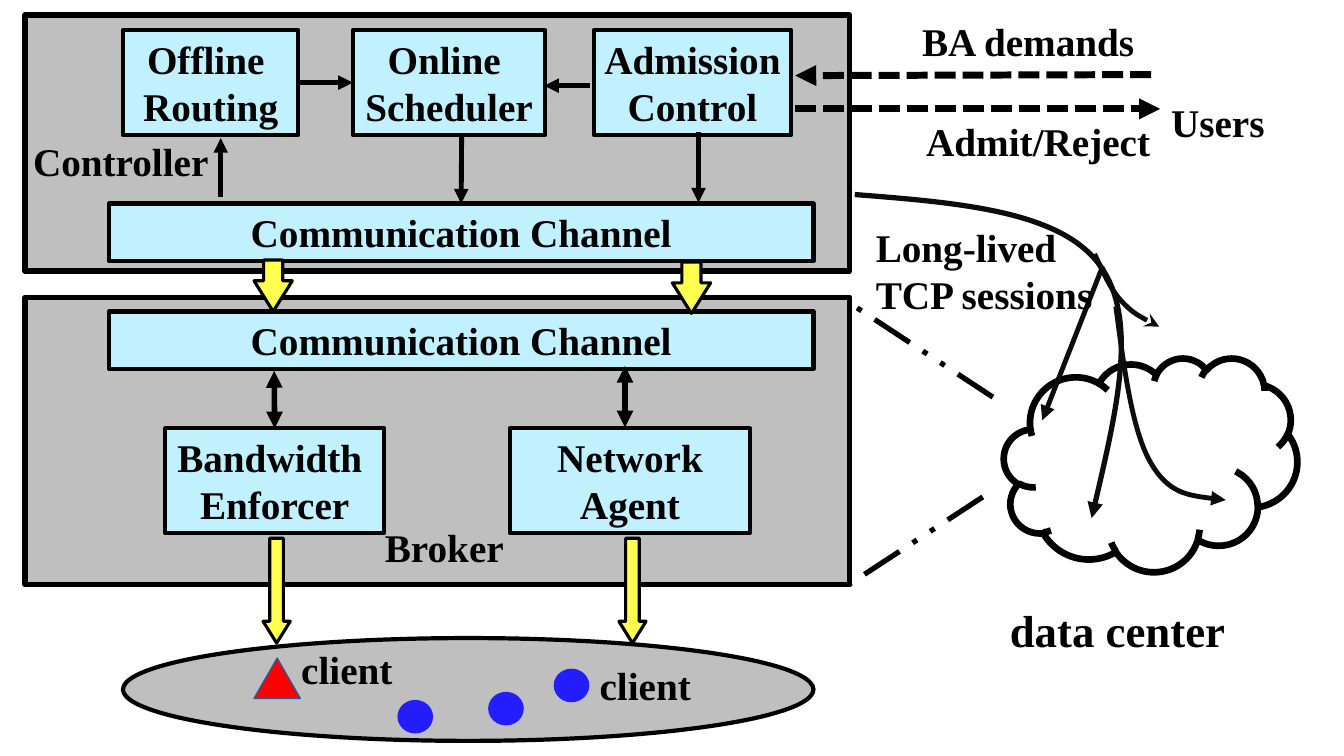
import pptx
import pptx.util
import pptx.dml.color
import pptx.enum.dml
import pptx.enum.shapes
import pptx.enum.text
import pptx.oxml
import pptx.oxml.ns

Inches = pptx.util.Inches
Pt = pptx.util.Pt
KIND = pptx.enum.shapes.MSO_SHAPE
DASH = pptx.enum.dml.MSO_LINE
ALIGN = pptx.enum.text.PP_ALIGN
COLORS = {
    "black": "000000",
    "ink": "0D0D0D",
    "gray": "BFBFBF",
    "sky": "C1F0FF",
    "yellow": "FEFF4F",
    "red": "FF0000",
    "navy": "325491",
    "blue": "241EFF",
}


def rgb(name):
    return pptx.dml.color.RGBColor.from_string(COLORS[name])


def make(tag, **values):
    node = pptx.oxml.parse_xml(f'<a:{tag} {pptx.oxml.ns.nsdecls("a")}/>')
    for key, value in values.items():
        node.set(key, value)
    return node


def stroke(item, color, width):
    item.line.color.rgb = rgb(color)
    item.line.width = Pt(width)


def add_tip(item, end, style):
    item.get_or_add_ln().append(make(end, type=style))


def write(frame, text, size=28, align=ALIGN.LEFT, wrap=True):
    frame.word_wrap = wrap
    frame.auto_size = pptx.enum.text.MSO_AUTO_SIZE.SHAPE_TO_FIT_TEXT
    frame.vertical_anchor = pptx.enum.text.MSO_ANCHOR.TOP
    frame.text = text
    for para in frame.paragraphs:
        para.alignment = align
        para.font.name = "Times New Roman"
        para.font.size = Pt(size)
        para.font.bold = True
        para.font.color.rgb = rgb("black")


def add_shape(slide, kind, place, fill=None, line="black", width=3):
    shape = slide.shapes.add_shape(kind, *map(Inches, place))
    shape.shadow.inherit = False
    if fill:
        shape.fill.solid()
        shape.fill.fore_color.rgb = rgb(fill)
    else:
        shape.fill.background()
    stroke(shape, line, width)
    return shape


def add_box(slide, text, *place):
    box = add_shape(slide, KIND.RECTANGLE, place, "sky")
    write(box.text_frame, text, align=ALIGN.CENTER)
    return box


def add_label(slide, text, *place, size=28, wrap=False):
    label = slide.shapes.add_textbox(*map(Inches, place))
    write(label.text_frame, text, size=size, wrap=wrap)


def add_line(slide, start, end, width=3.5, dash=None, head=False, tail=True):
    kind = pptx.enum.shapes.MSO_CONNECTOR.STRAIGHT
    line = slide.shapes.add_connector(kind, *map(Inches, start + end))
    stroke(line, "black", width)
    if dash:
        line.line.dash_style = dash
    if head:
        add_tip(line, "headEnd", "triangle")
    if tail:
        add_tip(line, "tailEnd", "triangle")
    line._element.spPr.append(make("effectLst"))
    return line


def smooth(route):
    lines = route.findall(pptx.oxml.ns.qn("a:lnTo"))
    for i in range(0, len(lines), 3):
        curve = make("cubicBezTo")
        lines[i].addprevious(curve)
        for line in lines[i:i + 3]:
            curve.append(line[0])
            route.remove(line)


def add_curve(slide, knots, tip="triangle", width=3.5, span=None):
    spots = [(Inches(x), Inches(y)) for x, y in knots]
    pen = slide.shapes.build_freeform(*spots[0])
    pen.add_line_segments(spots[1:], close=False)
    curve = pen.convert_to_shape()
    route = next(curve._element.iter(pptx.oxml.ns.qn("a:path")))
    if len(knots) > 2:
        smooth(route)
    if span:
        curve.width = Inches(span)
        route.set("w", str(Inches(span)))
    curve.shadow.inherit = False
    curve.fill.background()
    stroke(curve, "ink", width)
    add_tip(curve, "tailEnd", tip)


def add_flow(slide, *place):
    flow = add_shape(slide, KIND.DOWN_ARROW, place, "yellow", width=2.25)
    flow.adjustments[0] = 0.5
    flow.adjustments[1] = 0.8


def draw_broker(slide):
    add_shape(slide, KIND.RECTANGLE, (0.25, 2.95, 8.18, 2.85), "gray", width=4)
    band = add_box(slide, "Bandwidth \nEnforcer", 1.64, 4.25, 2.17, 1.04)
    add_box(slide, "Communication Channel", 1.08, 3.09, 6.99, 0.57)
    add_box(slide, "Network\nAgent", 5.06, 4.25, 2.38, 1.04)
    link = add_line(slide, (2.72, 3.68), (2.72, 4.25), width=4, head=True)
    link.end_connect(band, 0)
    add_line(slide, (6.2, 3.63), (6.2, 4.24), width=4, head=True)
    add_label(slide, "Broker", 3.72, 5.14, 1.39, 0.57)


def draw_control(slide):
    add_shape(slide, KIND.RECTANGLE, (0.25, 0.15, 8.18, 2.54), "gray", width=4)
    offline = add_box(slide, "Offline \nRouting", 1.22, 0.3, 1.74, 1.04)
    online = add_box(slide, "Online \nScheduler", 3.5, 0.3, 1.91, 1.04)
    add_box(slide, "Admission Control", 5.89, 0.3, 1.96, 1.04)
    channel = add_box(slide, "Communication Channel", 1.08, 2.02, 6.99, 0.57)
    add_label(slide, "Controller", 0.23, 1.31, 1.96, 0.57)
    add_line(slide, (2.19, 1.95), (2.19, 1.37))
    link = add_line(slide, (2.96, 0.82), (3.5, 0.82))
    link.begin_connect(offline, 3)
    link.end_connect(online, 1)
    add_line(slide, (4.58, 1.32), (4.58, 2.02)).end_connect(channel, 0)
    add_line(slide, (5.85, 0.85), (5.4, 0.85))
    add_line(slide, (6.93, 1.31), (6.93, 2.01))


def draw_users(slide):
    add_line(slide, (11.42, 0.74), (7.89, 0.75), width=5, dash=DASH.SQUARE_DOT)
    add_line(slide, (7.89, 1.08), (11.51, 1.08), width=5, dash=DASH.SQUARE_DOT)
    add_label(slide, "BA demands", 9.05, 0.12, 2.37, 0.57, wrap=True)
    add_label(slide, "Admit/Reject", 9.09, 1.11, 2.45, 0.57)
    add_label(slide, "Users", 11.52, 0.93, 1.14, 0.57)


def draw_center(slide):
    add_shape(slide, KIND.CLOUD, (9.96, 3.55, 2.91, 2.12), width=4.75)
    add_label(slide, "data center", 9.92, 5.93, 2.36, 0.64, size=32)
    for start, end in (((9.75, 4.93), (8.42, 5.8)), ((9.85, 3.94), (8.42, 3))):
        add_line(slide, start, end, width=3.75, dash=DASH.DASH_DOT_DOT, tail=False)
    add_curve(slide, [(8.48, 1.93), (9.5, 2.01), (10.52, 2.09), (10.91, 2.63),
                      (11.3, 3.16), (11.06, 4.15), (10.83, 5.14)], width=3.75, span=2.64)
    add_curve(slide, [(10.94, 2.64), (10.34, 4.17)])
    add_curve(slide, [(11.07, 3.04), (11.15, 3.65), (11.23, 4.26), (11.41, 4.58),
                      (11.59, 4.9), (11.88, 4.93), (12.16, 4.96)])
    add_curve(slide, [(10.86, 2.52), (10.94, 2.69), (11.01, 2.86), (11.12, 2.98),
                      (11.23, 3.1), (11.36, 3.17), (11.5, 3.24)], tip="stealth")
    add_label(slide, "Long-lived\nTCP sessions", 8.59, 2.17, 2.83, 1.04, wrap=True)


def draw_clients(slide):
    add_shape(slide, KIND.OVAL, (1.22, 6.33, 6.85, 1.02), "gray")
    add_shape(slide, KIND.ISOSCELES_TRIANGLE, (2.52, 6.53, 0.46, 0.4), "red", "navy", 1)
    for x, y in ((3.95, 6.95), (4.85, 6.87), (5.5, 6.64)):
        add_shape(slide, KIND.OVAL, (x, y, 0.34, 0.32), "blue", "blue", 1)
    for x, y in ((5.85, 6.51), (2.89, 6.35)):
        add_label(slide, "client", x, y, 1.12, 0.57)


def main():
    deck = pptx.Presentation()
    deck.slide_width = Inches(40 / 3)
    deck.slide_height = Inches(7.5)
    slide = deck.slides.add_slide(deck.slide_layouts[6])
    draw_broker(slide)
    draw_control(slide)
    draw_users(slide)
    draw_center(slide)
    draw_clients(slide)
    for x in (2.61, 6.14):
        add_flow(slide, x, 5.34, 0.27, 1.04)
    for x, y in ((2.52, 2.58), (6.67, 2.6)):
        add_flow(slide, x, y, 0.38, 0.51)
    deck.save("out.pptx")


if __name__ == "__main__":
    main()
